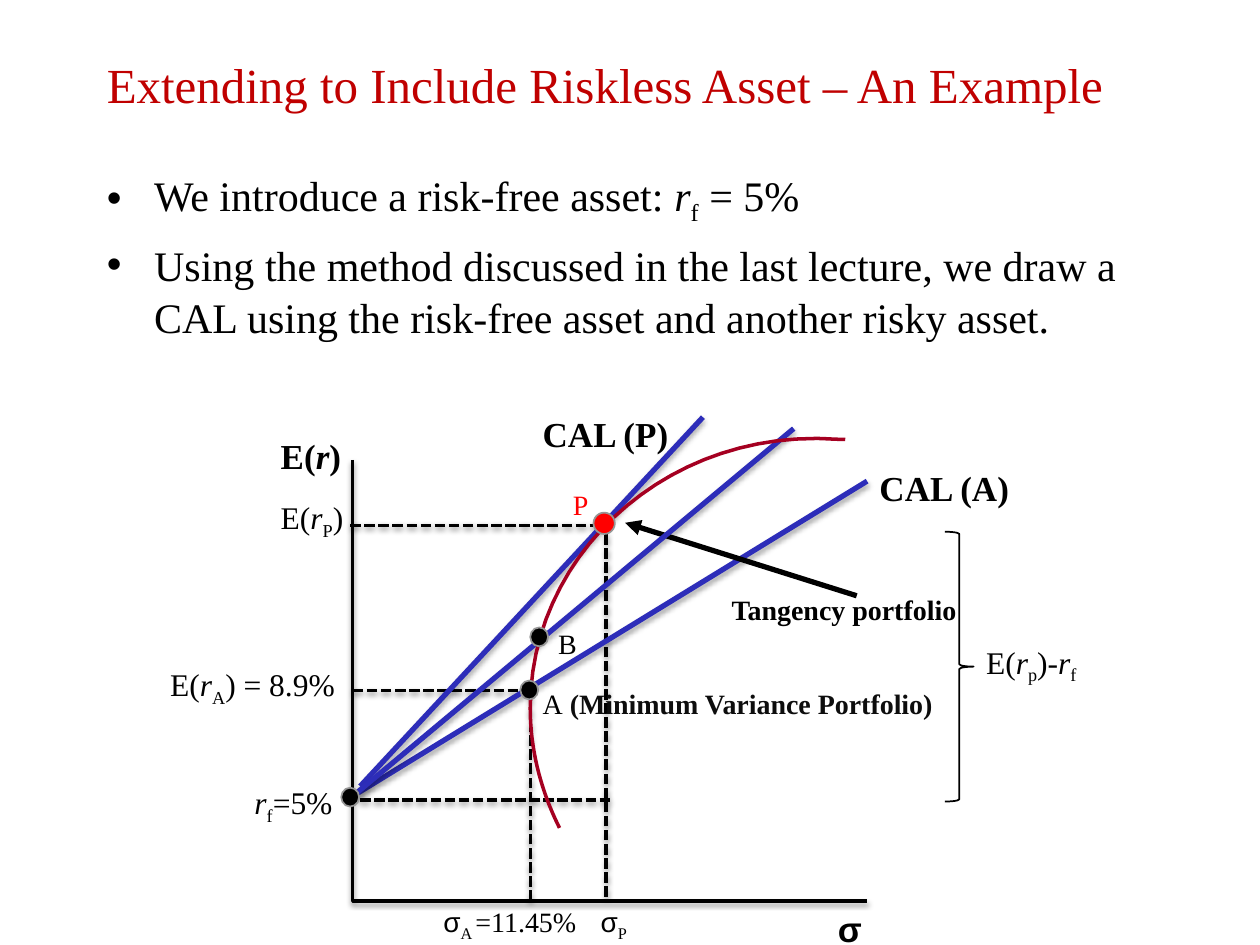
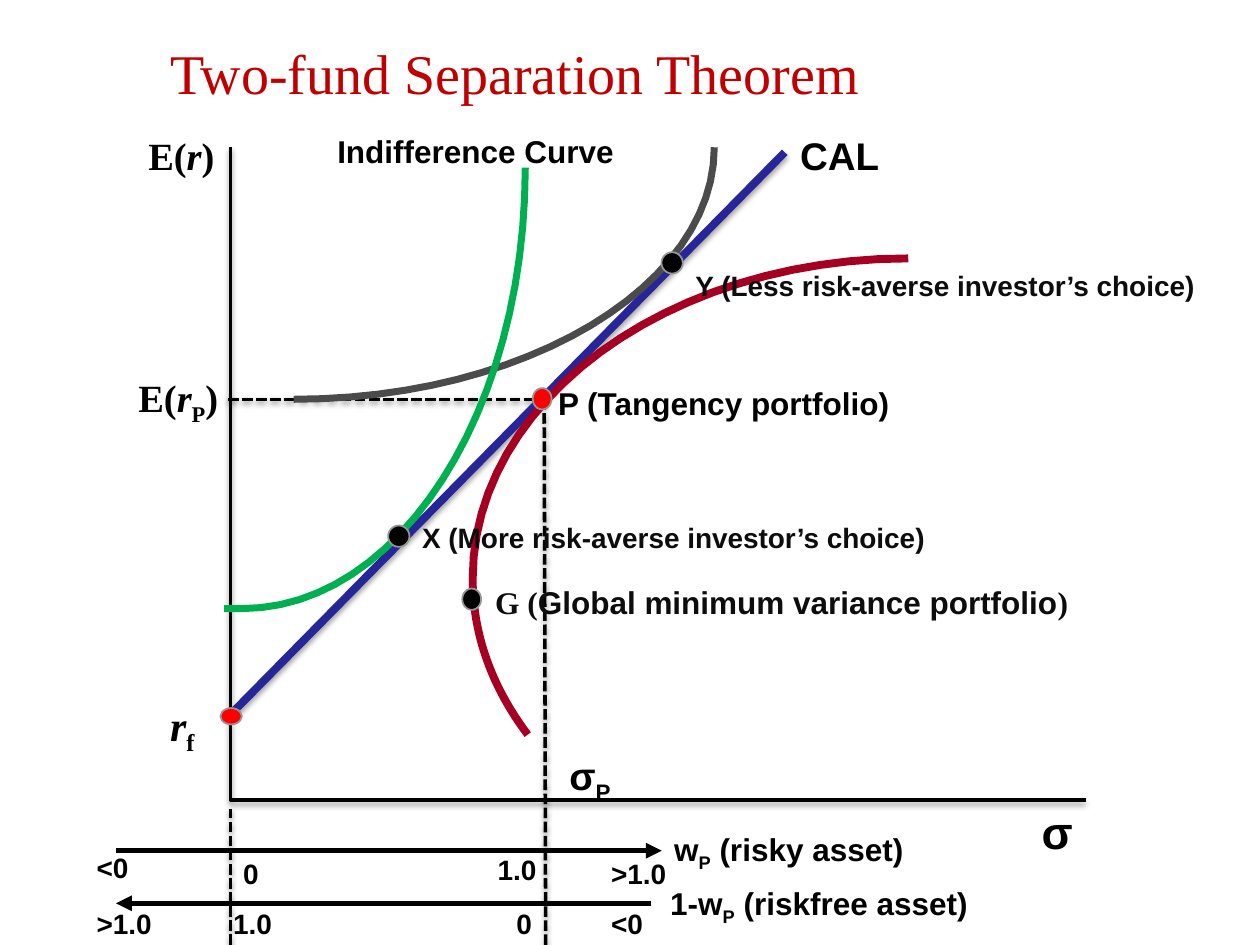
from dataclasses import dataclass

from lxml.etree import SubElement
from pptx import Presentation
from pptx.dml.color import RGBColor
from pptx.enum.dml import MSO_LINE
from pptx.enum.shapes import MSO_CONNECTOR, MSO_SHAPE
from pptx.enum.text import MSO_ANCHOR, MSO_AUTO_SIZE, PP_ALIGN
from pptx.oxml.ns import qn
from pptx.util import Cm, Pt


@dataclass(frozen=True)
class Stroke:
    colour: str
    width: float
    dashed: bool = False
    arrow: bool = False
    shadow_alpha: int = 0
    shadow_distance: float = 1.6


@dataclass(frozen=True)
class Theme:
    serif: str = "Times New Roman"
    sans: str = "Arial"
    ink: str = "000000"
    soft: str = "0D0D0D"
    heading: str = "C00000"
    alert: str = "FF0000"
    rim: str = "969696"
    tick: int = 16
    note: int = 18
    axis: int = 20
    large: int = 22
    body: int = 24
    sigma: int = 26
    title: int = 28
    big_title: int = 32
    dash: Stroke = Stroke("000000", 2, dashed=True, shadow_alpha=38)
    axes: Stroke = Stroke("000000", 2, shadow_alpha=38)
    arrow: Stroke = Stroke("000000", 3, arrow=True)
    cal: Stroke = Stroke("2D2DB9", 3, shadow_alpha=35, shadow_distance=1.8)
    thick_cal: Stroke = Stroke("262699", 4.5, shadow_alpha=35, shadow_distance=1.8)
    frontier: Stroke = Stroke("A50021", 2)
    thick_frontier: Stroke = Stroke("A50021", 4.5)
    less_averse: Stroke = Stroke("4B4B4B", 4)
    more_averse: Stroke = Stroke("00B050", 4)


theme = Theme()


def apply_stroke(shape, stroke):
    shape.line.color.rgb = RGBColor.from_string(stroke.colour)
    shape.line.width = Pt(stroke.width)
    if stroke.dashed:
        shape.line.dash_style = MSO_LINE.SQUARE_DOT
    properties = shape.element.spPr
    if stroke.arrow:
        SubElement(properties.find(qn("a:ln")), qn("a:tailEnd"), type="triangle")
    effects = SubElement(properties, qn("a:effectLst"))
    if stroke.shadow_alpha:
        shadow = SubElement(effects, qn("a:outerShdw"), blurRad=str(Pt(3.1)),
                            dist=str(Pt(stroke.shadow_distance)), dir="5400000", rotWithShape="0")
        black = SubElement(shadow, qn("a:srgbClr"), val=theme.ink)
        SubElement(black, qn("a:alpha"), val=str(stroke.shadow_alpha * 1000))


def write_runs(paragraph, size, runs):
    """Add (text, style) runs; a style is any of: bold italic sub sans soft alert heading."""
    for text, style in runs:
        words = style.split()
        run = paragraph.add_run()
        run.text = text
        run.font.size = Pt(size)
        run.font.name = theme.sans if "sans" in words else theme.serif
        run.font.bold = "bold" in words
        run.font.italic = "italic" in words
        colour = next((w for w in words if w in ("soft", "alert", "heading")), "ink")
        run.font.color.rgb = RGBColor.from_string(getattr(theme, colour))
        if "sub" in words:
            run._r.get_or_add_rPr().set("baseline", "-25000")


# Riskless asset example: positions in centimetres
sigma_a, sigma_p = 10.69, 12.22
return_a, return_p, return_f = 13.92, 10.59, 16.13
origin = (7.11, 18.16)
cal_start = (origin[0], 16.05)
example = dict(
    layout=1,
    title=("Extending to Include Riskless Asset – An Example", theme.title, (1.9, 0.43, 21.59, 2.54)),
    bullets=[
        [("We introduce a risk-free asset: ", ""), ("r", "italic"), ("f", "sub"), (" = 5%", "")],
        [("Using the method discussed in the last lecture, we draw a CAL using the "
          "risk-free asset and another risky asset.", "")],
    ],
    lines=[
        (theme.dash, (sigma_p, 18.08), (sigma_p, 10.67)),
        (theme.dash, (origin[0], return_a), (sigma_a, return_a)),
        (theme.dash, (7.06, return_p), (12.14, return_p)),
        (theme.dash, (sigma_a, origin[1]), (sigma_a, 13.94)),
        (theme.dash, (7.26, return_f), (12.34, return_f)),
        (theme.cal, cal_start, (17.48, 9.7)),
        (theme.cal, (7.26, 15.85), (14.17, 8.41)),
        (theme.arrow, (17.27, 12.01), (12.6, 10.54)),
        (theme.cal, cal_start, (16, 8.64)),
    ],
    axes=[(origin[0], 9.27), origin, (17.48, origin[1])],
    curves=[
        (theme.frontier, [(11.28, 16.69), (10.9, 15.93), (10.69, 15.11), (10.69, 14.27),
                          (10.69, 11.28), (13.26, 8.84), (16.43, 8.84),
                          (16.64, 8.84), (16.84, 8.86), (17.04, 8.86)]),
    ],
    points=[
        (12.18, 10.55, 0.43, 0.43, theme.alert),
        (10.67, 13.91, 0.36, 0.38, theme.ink),
        (7.06, 16.07, 0.36, 0.38, theme.ink),
        (10.87, 12.84, 0.36, 0.38, theme.ink),
    ],
    braces=[(19.05, 10.72, 0.58, 5.44)],
    labels=[
        (5.41, 8.64, 2.2, theme.axis, [("E(", "bold"), ("r", "bold italic"), (")", "bold")]),
        (17.48, 9.27, 3.5, theme.axis, [("CAL (A)", "bold")]),
        (10.69, 8.2, 3.5, theme.axis, [("CAL (P)", "bold")]),
        (5.41, 9.91, 2.2, theme.note, [("E(", ""), ("r", "italic"), ("P", "sub"), (")", "")]),
        (3.18, 13.28, 4.6, theme.note, [("E(", ""), ("r", "italic"), ("A", "sub"), (") = 8.9%", "")]),
        (4.88, 15.67, 2.4, theme.note, [("r", "italic"), ("f", "sub"), ("=5%", "")]),
        (11.86, 18.11, 1.4, theme.tick, [("σ", "sans"), ("P", "sub")]),
        (8.69, 18.11, 3.9, theme.tick, [("σ", "sans"), ("A ", "sub"), ("=11.45%", "")]),
        (10.69, 13.72, 9, theme.tick, [("A", ""), (" (Minimum Variance Portfolio)", "bold soft")]),
        (11.3, 9.7, 1.1, theme.tick, [("P", "alert")]),
        (16.64, 18.16, 1.5, theme.axis, [("σ", "bold sans")]),
        (14.5, 11.81, 5.6, theme.tick, [("Tangency portfolio", "bold")]),
        (11, 12.5, 1.2, theme.tick, [("B", "")]),
        (19.63, 12.83, 2.9, theme.note, [("E(", ""), ("r", "italic"), ("p", "sub"), (")-", ""),
                                         ("r", "italic"), ("f", "sub")]),
    ],
)

# Two-fund separation
origin = (4.65, 16.13)
bottom, return_p = 19.05, 8.05
risky_scale, riskfree_scale = 17.15, 18.21
scale_ticks = [
    (4.65, 17.15, "0"), (9.78, 17.07, "1.0"), (1.7, 17.02, "<0"), (12.07, 17.15, ">1.0"),
    (4.45, 18.14, "1.0"), (10.16, 18.14, "0"), (1.7, 18.14, ">1.0"), (12.07, 18.14, "<0"),
]
separation = dict(
    layout=5,
    title=("Two-fund Separation Theorem", theme.big_title, (3.18, 0.64, 19.69, 1.63)),
    bullets=[],
    lines=[
        (theme.dash, (11, bottom), (10.97, return_p)),
        (theme.dash, (4.6, return_p), (10.9, return_p)),
        (theme.dash, (origin[0], bottom), (origin[0], 16.31)),
        (theme.thick_cal, (origin[0], 14.4), (15.82, 3.07)),
        (theme.arrow, (2.34, risky_scale), (13.34, risky_scale)),
        (theme.arrow, (13.13, riskfree_scale), (2.34, riskfree_scale)),
    ],
    axes=[(origin[0], 2.97), origin, (21.89, origin[1])],
    curves=[
        (theme.thick_frontier, [(10.64, 14.81), (9.91, 13.84), (9.53, 12.78), (9.53, 11.66),
                                (9.53, 8.1), (13.46, 5.21), (18.31, 5.21)]),
        (theme.less_averse, [(5.92, 8.05), (10.59, 8.05), (14.4, 5.77), (14.4, 2.97)]),
        (theme.more_averse, [(4.52, 12.27), (4.65, 12.27), (4.75, 12.27), (4.88, 12.27),
                             (8.03, 12.27), (10.59, 8.31), (10.59, 3.38)]),
    ],
    points=[
        (10.93, 8.04, 0.38, 0.43, theme.alert),
        (13.55, 5.3, 0.43, 0.43, theme.ink),
        (8.04, 10.81, 0.43, 0.43, theme.ink),
        (4.66, 14.44, 0.43, 0.33, theme.alert),
        (9.51, 12.08, 0.38, 0.43, theme.ink),
    ],
    braces=[],
    labels=[
        (2.74, 2.54, 2.3, theme.large, [("E(", "bold"), ("r", "bold italic"), (")", "bold")]),
        (15.88, 2.54, 2.6, theme.large, [("CAL", "bold sans")]),
        (2.54, 7.42, 2.6, theme.large, [("E(", "bold"), ("r", "bold italic"),
                                        ("P", "bold sub"), (")", "bold")]),
        (3.18, 13.97, 1.4, theme.body, [("r", "bold italic"), ("f", "bold sub")]),
        (11.23, 15.04, 1.6, theme.large, [("σ", "bold sans"), ("P", "bold sans sub")]),
        (11, 7.62, 7.8, theme.note, [("P (Tangency portfolio)", "bold sans")]),
        (20.75, 16.08, 1.4, theme.sigma, [("σ", "bold sans")]),
        (13.77, 5.28, 11.2, theme.tick, [("Y (Less risk-averse investor’s choice)", "bold sans soft")]),
        (8.26, 10.36, 11.2, theme.tick, [("X (More risk-averse investor’s choice)", "bold sans soft")]),
        (13.34, 16.61, 6.35, theme.note, [("w", "bold sans"), ("P", "bold sans sub"),
                                          (" (risky asset)", "bold sans")]),
        (13.26, 17.7, 7.62, theme.note, [("1-w", "bold sans"), ("P", "bold sans sub"),
                                         (" (riskfree asset)", "bold sans")]),
        (9.73, 11.63, 12.6, theme.note, [("G (", "bold soft"),
                                         ("Global minimum variance portfolio", "bold sans soft"),
                                         (")", "bold soft")]),
        (6.55, 2.54, 6.5, theme.note, [("Indifference Curve", "bold sans")]),
    ] + [(x, y, 1.8, theme.tick, [(tick, "bold sans")]) for x, y, tick in scale_ticks],
)

deck = Presentation()
deck.slide_width, deck.slide_height = Cm(25.4), Cm(19.05)

for figure in (example, separation):
    slide = deck.slides.add_slide(deck.slide_layouts[figure["layout"]])
    shapes = slide.shapes

    heading, heading_size, heading_box = figure["title"]
    title = shapes.title
    title.left, title.top, title.width, title.height = map(Cm, heading_box)
    title.text_frame.vertical_anchor = MSO_ANCHOR.MIDDLE
    title.text_frame.auto_size = MSO_AUTO_SIZE.NONE
    title.text_frame.paragraphs[0].alignment = PP_ALIGN.LEFT
    write_runs(title.text_frame.paragraphs[0], heading_size, [(heading, "heading")])

    if figure["bullets"]:
        body = slide.placeholders[1]
        body.left, body.top, body.width, body.height = map(Cm, (1.9, 3.38, 22.02, 14.17))
        body.text_frame.auto_size = MSO_AUTO_SIZE.NONE
        for index, runs in enumerate(figure["bullets"]):
            point = body.text_frame.add_paragraph() if index else body.text_frame.paragraphs[0]
            point.line_spacing = Pt(30)
            point.space_before = Pt(6 if index else 0)
            write_runs(point, theme.body, runs)

    for stroke, start, end in figure["lines"]:
        line = shapes.add_connector(MSO_CONNECTOR.STRAIGHT, *map(Cm, start + end))
        apply_stroke(line, stroke)

    outlines = [(theme.axes, figure["axes"])]
    for stroke, controls in figure["curves"]:
        # Sample each cubic Bézier segment; neighbours share an end point
        samples = [controls[0]]
        for first in range(0, len(controls) - 1, 3):
            segment = controls[first:first + 4]
            for step in range(1, 25):
                t = step / 24
                weights = ((1 - t) ** 3, 3 * t * (1 - t) ** 2, 3 * t ** 2 * (1 - t), t ** 3)
                samples.append(tuple(sum(w * p[axis] for w, p in zip(weights, segment))
                                     for axis in (0, 1)))
        outlines.append((stroke, samples))
    for stroke, vertices in outlines:
        vertices = [(Cm(x), Cm(y)) for x, y in vertices]
        builder = shapes.build_freeform(*vertices[0])
        builder.add_line_segments(vertices[1:], close=False)
        outline = builder.convert_to_shape()
        outline.fill.background()
        apply_stroke(outline, stroke)

    for x, y, width, height, colour in figure["points"]:
        dot = shapes.add_shape(MSO_SHAPE.OVAL, Cm(x - width / 2), Cm(y - height / 2),
                               Cm(width), Cm(height))
        dot.shadow.inherit = False
        dot.fill.solid()
        dot.fill.fore_color.rgb = RGBColor.from_string(colour)
        dot.line.color.rgb = RGBColor.from_string(theme.rim)
        dot.line.width = Pt(1)

    for box in figure["braces"]:
        premium = shapes.add_shape(MSO_SHAPE.RIGHT_BRACE, *map(Cm, box))
        premium.adjustments[0] = 0.08
        premium.shadow.inherit = False
        premium.fill.background()
        premium.line.color.rgb = RGBColor.from_string(theme.ink)
        premium.line.width = Pt(1)

    for x, y, width, size, runs in figure["labels"]:
        label = shapes.add_textbox(Cm(x), Cm(y), Cm(width), Pt(1.2 * size + 7.2))
        label.text_frame.word_wrap = True
        write_runs(label.text_frame.paragraphs[0], size, runs)

deck.save("out.pptx")
